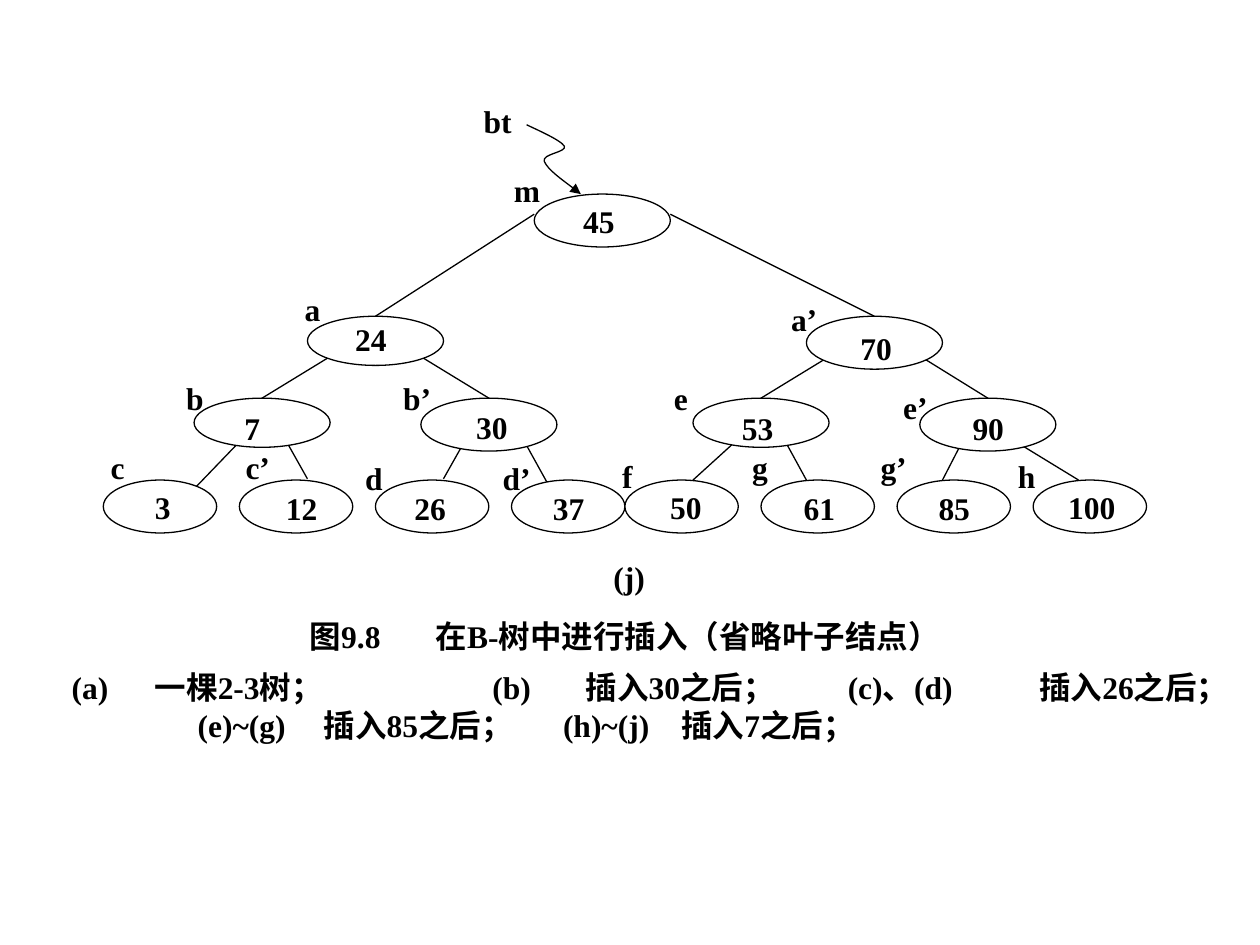
from dataclasses import dataclass

from lxml.etree import SubElement
from pptx import Presentation
from pptx.dml.color import RGBColor
from pptx.enum.shapes import MSO_CONNECTOR as Connector, MSO_SHAPE as Shape
from pptx.enum.text import MSO_ANCHOR as Anchor, MSO_AUTO_SIZE as AutoSize
from pptx.oxml.ns import qn
from pptx.util import Inches, Pt


@dataclass(frozen=True)
class Theme:
    ink: RGBColor = RGBColor(0, 0, 0)
    paper: RGBColor = RGBColor(255, 255, 255)
    font: str = "Times New Roman"
    size: int = 18
    line: float = 0.75


@dataclass(frozen=True)
class Node:
    left: float
    top: float
    width: float
    height: float
    label: tuple
    value: tuple


def write(paragraph, text, *, font, size, color, bold=True, tabs=()):
    if tabs:
        tab_list = SubElement(paragraph._p.get_or_add_pPr(), qn("a:tabLst"))
        for position in tabs:
            SubElement(tab_list, qn("a:tab"), pos=str(Inches(position)), algn="l")
    run = paragraph.add_run()
    run.text = text
    run.font.name = font
    run.font.size = Pt(size)
    run.font.bold = bold
    run.font.color.rgb = color


class Diagram:
    def __init__(self, slide, theme):
        self.slide = slide
        self.shapes = slide.shapes
        self.theme = theme

    def outline(self, line):
        line.color.rgb = self.theme.ink
        line.width = Pt(self.theme.line)

    def text(self, left, top, width, *lines, height=0.4):
        box = self.shapes.add_textbox(*map(Inches, (left, top, width, height)))
        frame = box.text_frame
        frame.word_wrap = False
        frame.auto_size = AutoSize.SHAPE_TO_FIT_TEXT
        frame.vertical_anchor = Anchor.MIDDLE
        for index, (content, tabs) in enumerate(lines):
            paragraph = frame.add_paragraph() if index else frame.paragraphs[0]
            write(paragraph, content, font=self.theme.font, size=self.theme.size,
                  color=self.theme.ink, tabs=tabs)

    def label(self, content, left, top, width):
        self.text(left, top, width, (content, ()))

    def ellipse(self, node):
        shape = self.shapes.add_shape(
            Shape.OVAL, *map(Inches, (node.left, node.top, node.width, node.height)))
        shape.shadow.inherit = False
        shape.fill.solid()
        shape.fill.fore_color.rgb = self.theme.paper
        self.outline(shape.line)
        return shape

    def edge(self, start, end, child=None):
        connector = self.shapes.add_connector(
            Connector.STRAIGHT, *map(Inches, (*start, *end)))
        if child is not None:
            connector.end_connect(child, 0)
        self.outline(connector.line)
        SubElement(connector._element.spPr, qn("a:effectLst"))
        self.shapes._spTree.insert(2, connector._element)

    def curved_arrow(self, points):
        start, *rest = [tuple(map(Inches, point)) for point in points]
        builder = self.shapes.build_freeform(*start)
        builder.add_line_segments(rest, close=False)
        shape = builder.convert_to_shape()
        shape.shadow.inherit = False
        shape.fill.background()
        self.outline(shape.line)
        properties = shape._element.spPr
        SubElement(properties.find(qn("a:ln")), qn("a:tailEnd"), type="triangle")
        path = next(properties.iter(qn("a:path")))
        segments = path.findall(qn("a:lnTo"))
        for first in range(0, len(segments), 3):
            curve = SubElement(path, qn("a:cubicBezTo"))
            for segment in segments[first:first + 3]:
                curve.append(segment[0])
                path.remove(segment)


BRANCH, LEAF, TALL, FLAT = 1.08, 0.9, 0.42, 0.39
ROWS = (1.54, 2.51, 3.16, 3.81)

BRANCHES = [
    Node(4.24, ROWS[0], BRANCH, TALL, ("m", 3.98, 1.31, 0.47), ("45", 4.53, 1.55, 0.45)),
    Node(2.44, ROWS[1], BRANCH, FLAT, ("a", 2.32, 2.25, 0.39), ("24", 2.72, 2.49, 0.45)),
    Node(6.4, ROWS[1], BRANCH, TALL, ("a’", 6.18, 2.33, 0.47), ("70", 6.73, 2.56, 0.51)),
    Node(1.54, ROWS[2], BRANCH, FLAT, ("b", 1.38, 2.96, 0.4), ("7", 1.84, 3.2, 0.32)),
    Node(3.34, ROWS[2], BRANCH, TALL, ("b’", 3.1, 2.96, 0.48), ("30", 3.68, 3.19, 0.45)),
    Node(5.5, ROWS[2], BRANCH, FLAT, ("e", 5.25, 2.96, 0.37), ("53", 5.79, 3.2, 0.45)),
    Node(7.3, ROWS[2], BRANCH, TALL, ("e’", 7.07, 3.03, 0.45), ("90", 7.62, 3.2, 0.45)),
]

LEAF_TEXTS = [
    (("c", 0.78, 3.51, 0.37), ("3", 1.13, 3.82, 0.32)),
    (("c’", 1.85, 3.51, 0.45), ("12", 2.17, 3.83, 0.45)),
    (("d", 2.8, 3.59, 0.4), ("26", 3.19, 3.83, 0.45)),
    (("d’", 3.89, 3.59, 0.48), ("37", 4.29, 3.83, 0.45)),
    (("f", 4.84, 3.58, 0.34), ("50", 5.22, 3.82, 0.51)),
    (("g", 5.87, 3.51, 0.39), ("61", 6.28, 3.83, 0.45)),
    (("g’", 6.89, 3.51, 0.47), ("85", 7.35, 3.83, 0.45)),
    (("h", 7.98, 3.58, 0.4), ("100", 8.38, 3.82, 0.64)),
]
HALF_STARTS = (0.82, 4.96)
LEAVES = [
    Node(HALF_STARTS[index // 4] + 1.08 * (index % 4), ROWS[3], LEAF, TALL, *texts)
    for index, texts in enumerate(LEAF_TEXTS)
]

BRANCH_EDGES = [
    ("24", (4.24, 1.7)), ("70", (5.32, 1.7)),
    ("7", (2.62, 2.83)), ("30", (3.34, 2.83)),
    ("53", (6.58, 2.83)), ("90", (7.34, 2.85)),
]
LEAF_EDGES = [
    ((2.08, 3.32), (1.56, 3.86)), ((2.26, 3.48), (2.44, 3.8)),
    ((3.7, 3.48), (3.52, 3.8)), ((4.06, 3.32), (4.42, 3.97)),
    ((6.04, 3.32), (5.5, 3.81)), ((6.22, 3.48), (6.4, 3.81)),
    ((7.65, 3.48), (7.48, 3.81)), ((8.02, 3.48), (8.56, 3.81)),
]
POINTER = [
    (4.18, 0.99), (4.24, 1.02), (4.45, 1.11), (4.48, 1.16), (4.5, 1.21),
    (4.3, 1.22), (4.32, 1.28), (4.35, 1.35), (4.55, 1.49), (4.61, 1.54),
]


def main():
    presentation = Presentation()
    presentation.slide_width, presentation.slide_height = Inches(10), Inches(7.5)
    slide = presentation.slides.add_slide(presentation.slide_layouts[6])
    diagram = Diagram(slide, Theme())

    nodes = BRANCHES + LEAVES
    ellipses = {node.value[0]: diagram.ellipse(node) for node in nodes}
    tops = {node.value[0]: (node.left + node.width / 2, node.top) for node in nodes}
    for child, start in BRANCH_EDGES:
        diagram.edge(start, tops[child], ellipses[child])
    for start, end in LEAF_EDGES:
        diagram.edge(start, end)
    diagram.curved_arrow(POINTER)

    diagram.label("bt", 3.74, 0.76, 0.48)
    for node in nodes:
        diagram.label(*node.label)
        diagram.label(*node.value)

    diagram.label("(j)", 4.77, 4.38, 0.45)
    diagram.text(2.36, 4.85, 5.32, ("图9.8\t在B-树中进行插入（省略叶子结点）", (1,)))
    diagram.text(
        0.47, 5.25, 9.49,
        ("(a)\t一棵2-3树；\t(b)\t插入30之后；\t(c)、(d)\t插入26之后；",
         (0.66, 3.34, 4.08, 6.16, 7.68)),
        ("\t(e)~(g)\t插入85之后；\t(h)~(j)\t插入7之后；", (1, 2, 3.9, 4.84)),
        height=0.7)
    presentation.save("out.pptx")


if __name__ == "__main__":
    main()
